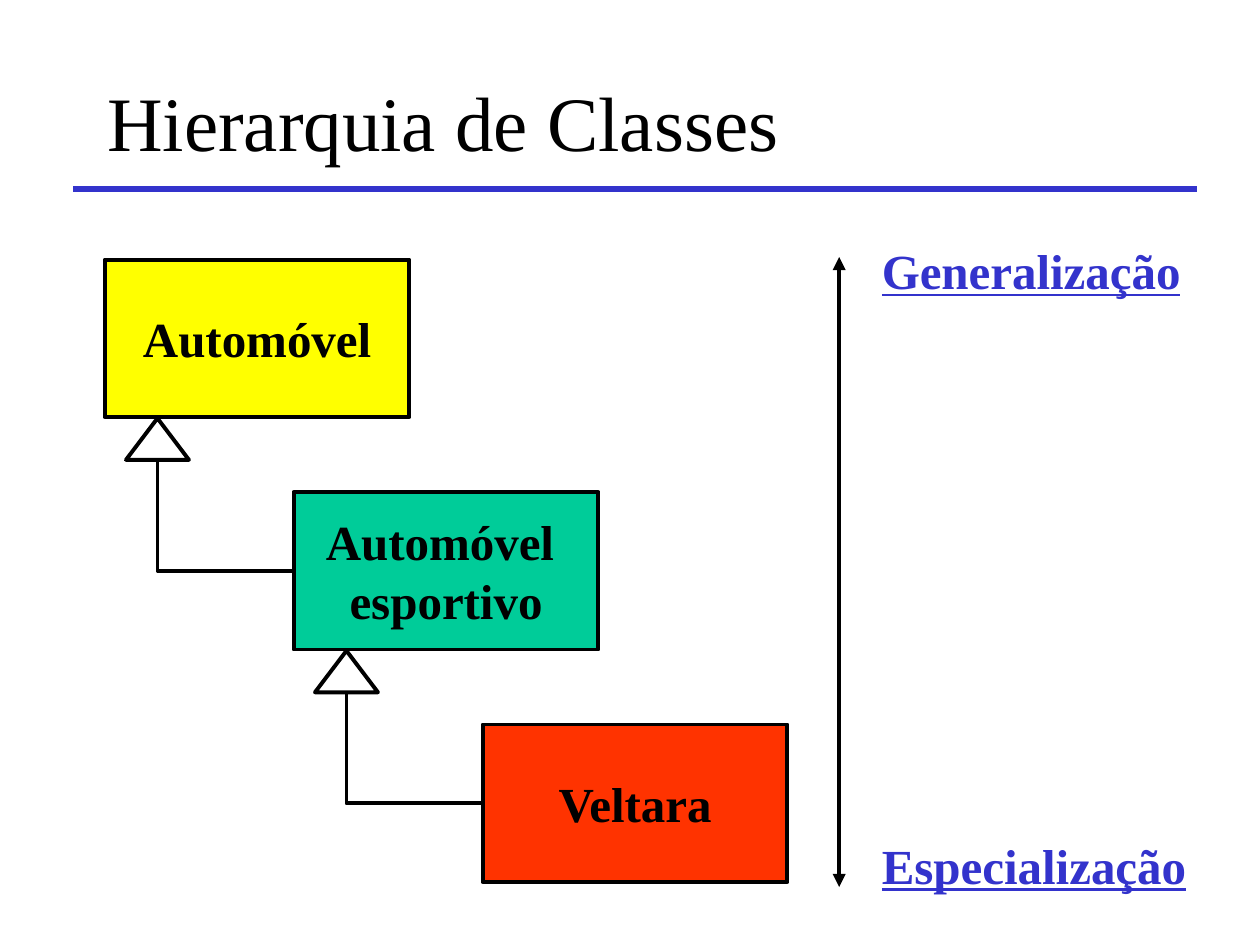
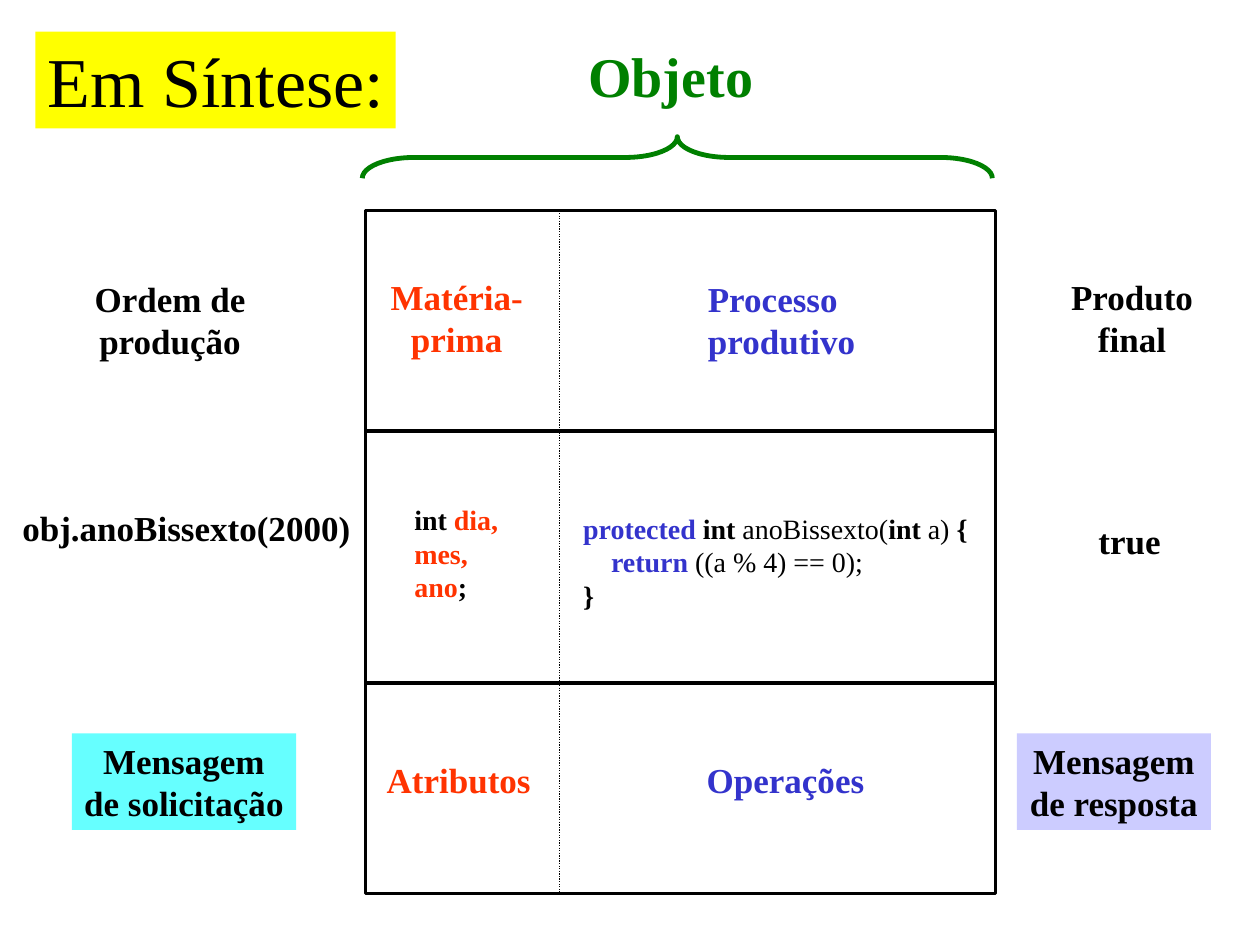
from lxml import etree
from pptx import Presentation
from pptx.dml.color import RGBColor
from pptx.enum.dml import MSO_LINE
from pptx.enum.shapes import MSO_CONNECTOR, MSO_SHAPE
from pptx.enum.text import MSO_ANCHOR, MSO_AUTO_SIZE, PP_ALIGN
from pptx.oxml.ns import qn
from pptx.util import Inches, Pt

LEFT, MID = PP_ALIGN.LEFT, PP_ALIGN.CENTER
TOP, CENTRE = MSO_ANCHOR.TOP, MSO_ANCHOR.MIDDLE
STRAIGHT, ELBOW = MSO_CONNECTOR.STRAIGHT, MSO_CONNECTOR.ELBOW
RECT, PEAK, BRACE = MSO_SHAPE.RECTANGLE, MSO_SHAPE.ISOSCELES_TRIANGLE, MSO_SHAPE.LEFT_BRACE
DOTS = MSO_LINE.ROUND_DOT
FONT = "Times New Roman"
HUES = {
    "black": "000000", "yellow": "FFFF00", "teal": "00CC99", "red": "FF3300",
    "blue": "3333CC", "green": "008000", "cyan": "66FFFF", "lilac": "CCCCFF",
}

CLASSES = [
    (["Automóvel"], "yellow"),
    (["Automóvel ", "esportivo"], "teal"),
    (["Veltara"], "red"),
]
ENDS = [("Generalização", 1.86, 2.57), ("Especialização", 6.58, 2.61)]

FIELDS = [
    [("int ", "black", True), ("dia,", "red", True)],
    [("mes,", "red", True)],
    [("ano", "red", True), (";", "black", True)],
]
METHOD = [
    [("protected ", "blue", True), ("int", "black", True), (" anoBissexto(", "black", False),
     ("int", "black", True), (" a) ", "black", False), ("{", "black", True)],
    [("    ", "black", False), ("return", "blue", True), (" ((a % 4) == 0);", "black", False)],
    [("}", "black", True)],
]
COLS = [2.9, 4.44, 7.9]
ROWS = [1.67, 3.42, 5.42, 7.09]
LABELS = [
    (["Ordem de", "produção"], 0.65, 2.15, 1.4, {"align": MID}),
    (["Matéria-", "prima"], 3, 2.14, 1.25, {"align": MID, "hue": "red"}),
    (["Processo", "produtivo"], 5.52, 2.15, 1.37, {"hue": "blue"}),
    (["Produto", "final"], 8.4, 2.14, 1.17, {"align": MID}),
    (["obj.anoBissexto(2000)"], 0.08, 3.97, 2.8, {"align": MID}),
    (FIELDS, 3.19, 3.94, 0.92, {"size": 16}),
    (METHOD, 4.53, 4.01, 3.25, {"size": 16}),
    (["true"], 8.62, 4.07, 0.69, {"align": MID}),
    (["Mensagem", "de solicitação"], 0.57, 5.82, 1.78, {"align": MID, "fill": "cyan"}),
    (["Atributos"], 2.97, 5.97, 1.34, {"hue": "red"}),
    (["Operações"], 5.51, 5.97, 1.45, {"hue": "blue"}),
    (["Mensagem", "de resposta"], 8.07, 5.82, 1.54, {"align": MID, "fill": "lilac"}),
    (["Objeto"], 4.57, 0.28, 1.51, {"size": 32, "hue": "green"}),
]


def rgb(hue):
    return RGBColor.from_string(HUES[hue])


def paint(shape, hue):
    shape.fill.solid()
    shape.fill.fore_color.rgb = rgb(hue)


def write(shape, paras, size=20, hue="black", bold=True, under=False,
          align=LEFT, anchor=TOP, wrap=False):
    frame = shape.text_frame
    frame.auto_size = MSO_AUTO_SIZE.NONE
    frame.word_wrap = wrap
    frame.vertical_anchor = anchor
    for i, para in enumerate(paras):
        p = frame.add_paragraph() if i else frame.paragraphs[0]
        p.alignment = align
        runs = [(para, hue, bold)] if isinstance(para, str) else para
        for words, tint, heavy in runs:
            run = p.add_run()
            run.text = words
            font = run.font
            font.name, font.size, font.bold = FONT, Pt(size), heavy
            font.underline = under
            font.color.rgb = rgb(tint)


def label(slide, paras, x, y, w, size=20, fill=None, **form):
    high = 0.1 + len(paras) * size / 60
    box = slide.shapes.add_textbox(Inches(x), Inches(y), Inches(w), Inches(high))
    if fill:
        paint(box, fill)
    write(box, paras, size=size, **form)


def shape(slide, kind, x, y, w, h, fill=None, hue="black", width=2.25):
    item = slide.shapes.add_shape(kind, Inches(x), Inches(y), Inches(w), Inches(h))
    item.shadow.inherit = False
    if fill:
        paint(item, fill)
    else:
        item.fill.background()
    item.line.color.rgb = rgb(hue)
    item.line.width = Pt(width)
    return item


def link(slide, x1, y1, x2, y2, kind=STRAIGHT, hue="black", width=2):
    item = slide.shapes.add_connector(kind, Inches(x1), Inches(y1), Inches(x2), Inches(y2))
    item.line.color.rgb = rgb(hue)
    item.line.width = Pt(width)
    etree.SubElement(item._element.spPr, qn("a:effectLst"))
    return item


def corner(slide, x1, y1, x2, y2):
    props = link(slide, x1, y1, x2, y2, kind=ELBOW, width=2.25)._element.spPr
    props.find(qn("a:prstGeom")).set("prst", "bentConnector2")
    props.find(qn("a:xfrm")).set("rot", "10800000")


def start(deck, title, x, y, w, h, fill=None, **form):
    slide = deck.slides.add_slide(deck.slide_layouts[5])
    head = slide.shapes.title
    head.left, head.top, head.width, head.height = map(Inches, (x, y, w, h))
    head.text_frame.margin_right = 0
    if fill:
        paint(head, fill)
    write(head, [title], bold=False, wrap=True, **form)
    return slide


def classes(deck):
    slide = start(deck, "Hierarquia de Classes", 0.75, 0.33, 8.5, 1.25,
                  size=44, anchor=CENTRE)
    link(slide, 0.58, 1.5, 9.5, 1.5, hue="blue", width=3)
    wide, high, right, down = 2.42, 1.25, 1.5, 1.845
    for i, (name, hue) in enumerate(CLASSES):
        x, y = 0.83 + i * right, 2.06 + i * down
        box = shape(slide, RECT, x, y, wide, high, fill=hue)
        write(box, name, size=28, align=MID, anchor=CENTRE)
        if i < len(CLASSES) - 1:
            shape(slide, PEAK, x + 0.17, y + high + 0.01, 0.5, 0.33)
            corner(slide, x + 0.42, y + high + 0.35, x + right, y + down + high / 2)
    axis = link(slide, 6.66, 2.04, 6.66, 7.04, width=2.5)
    line = axis.line._get_or_add_ln()
    for tip in ("a:headEnd", "a:tailEnd"):
        etree.SubElement(line, qn(tip), type="triangle")
    for name, y, w in ENDS:
        label(slide, [name], 6.9, y, w, size=28, hue="blue", under=True)


def summary(deck):
    slide = start(deck, "Em Síntese:", 0.28, 0.25, 2.86, 0.77, fill="yellow", size=40)
    x, y = COLS[0], ROWS[0]
    shape(slide, RECT, x, y, COLS[-1] - x, ROWS[-1] - y, width=2)
    for row in ROWS[1:-1]:
        link(slide, x, row, COLS[-1], row)
    split = link(slide, COLS[1], y, COLS[1], ROWS[-1], width=0.75)
    split.line.dash_style = DOTS
    brace = shape(slide, BRACE, 5.21, -1.25, 0.33, 5, hue="green", width=2.75)
    brace.rotation = 90
    brace.adjustments[0] = 1.25
    for paras, left, top, wide, form in LABELS:
        label(slide, paras, left, top, wide, **form)


def main():
    deck = Presentation()
    deck.slide_width, deck.slide_height = Inches(10), Inches(7.5)
    classes(deck)
    summary(deck)
    deck.save("out.pptx")


if __name__ == "__main__":
    main()
